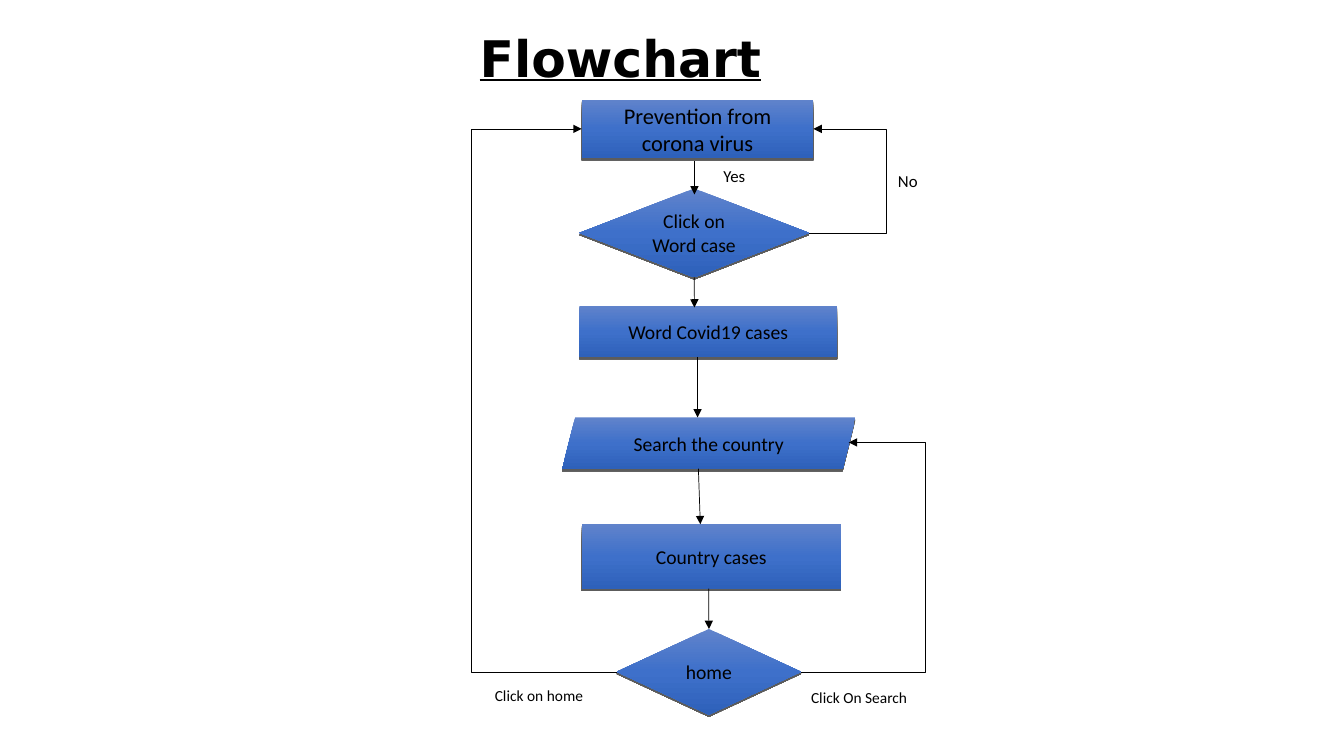
from copy import deepcopy

from pptx import Presentation
from pptx.dml.color import RGBColor
from pptx.enum.shapes import MSO_CONNECTOR, MSO_SHAPE
from pptx.enum.text import MSO_ANCHOR, PP_ALIGN
from pptx.oxml import parse_xml
from pptx.oxml.ns import nsdecls, qn
from pptx.util import Cm, Pt

COLORS = {
    "ink": "000000",
    "top": "6083CB",
    "middle": "3E70CA",
    "bottom": "2E61BA",
}


def rgb(name):
    return RGBColor.from_string(COLORS[name])


def write(sp, text, size=14, font="Calibri", bold=None, underline=None,
          align=PP_ALIGN.LEFT, anchor=MSO_ANCHOR.TOP):
    tf = sp.text_frame
    tf.word_wrap = True
    tf.vertical_anchor = anchor
    p = tf.paragraphs[0]
    p.alignment = align
    r = p.add_run()
    r.text = text
    r.font.size = Pt(size)
    r.font.name = font
    r.font.bold = bold
    r.font.underline = underline
    r.font.color.rgb = rgb("ink")


def add_label(s, text, x, y, w, h, **fmt):
    sp = s.shapes.add_textbox(Cm(x), Cm(y), Cm(w), Cm(h))
    write(sp, text, **fmt)


def add_step(s, kind, text, x, y, w, h, size=14):
    sp = s.shapes.add_shape(kind, Cm(x), Cm(y), Cm(w), Cm(h))
    sp.line.fill.background()

    # Vertical gradient with three stops
    sp.fill.gradient()
    sp.fill.gradient_angle = 270
    stop_list = sp._element.spPr.find(qn("a:gradFill")).find(qn("a:gsLst"))
    stop_list.append(deepcopy(stop_list[-1]))
    names = ("top", "middle", "bottom")
    for i, (stop, name) in enumerate(zip(sp.fill.gradient_stops, names)):
        stop.position = i / 2
        stop.color.rgb = rgb(name)

    # Thin dark edge below the shape
    sp.shadow.inherit = False
    sp._element.spPr.find(qn("a:effectLst")).append(parse_xml(
        f'<a:outerShdw {nsdecls("a")} blurRad="0" dist="{Pt(1.5)}" dir="5400000"'
        f' algn="ctr" rotWithShape="0"><a:srgbClr val="{COLORS["ink"]}">'
        '<a:alpha val="63000"/></a:srgbClr></a:outerShdw>'))

    write(sp, text, size=size, align=PP_ALIGN.CENTER, anchor=MSO_ANCHOR.MIDDLE)
    return sp


def add_arrow(s, x1, y1, x2, y2, via_x=None):
    """Straight arrow, or an elbow whose upright runs at via_x."""
    kind = MSO_CONNECTOR.STRAIGHT if via_x is None else MSO_CONNECTOR.ELBOW
    cx = s.shapes.add_connector(kind, Cm(x1), Cm(y1), Cm(x2), Cm(y2))
    cx.line.color.rgb = rgb("ink")
    cx.line.width = Pt(0.5)
    spPr = cx._element.spPr
    cx.line._get_or_add_ln().append(
        parse_xml(f'<a:tailEnd {nsdecls("a")} type="triangle"/>'))
    spPr.append(parse_xml(f'<a:effectLst {nsdecls("a")}/>'))
    if via_x is not None:
        bend = round((via_x - x1) / (x2 - x1) * 100000)
        guides = spPr.find(qn("a:prstGeom")).get_or_add_avLst()
        guides.append(parse_xml(
            f'<a:gd {nsdecls("a")} name="adj1" fmla="val {bend}"/>'))
    return cx


def main():
    prs = Presentation()
    prs.slide_width, prs.slide_height = Cm(33.87), Cm(19.05)
    s = prs.slides.add_slide(prs.slide_layouts[6])

    # Title
    add_label(s, "Flowchart", 11.84, 0.56, 10.41, 1.8,
              size=36, font="DejaVu Sans", bold=True, underline=True)

    # Steps
    process, decision = MSO_SHAPE.FLOWCHART_PROCESS, MSO_SHAPE.DIAMOND
    add_step(s, process, "Prevention from corona virus",
             14.66, 2.51, 5.84, 1.47, size=16)
    word_case = add_step(s, decision, "Click on Word case", 14.6, 4.75, 5.79, 2.24)
    add_step(s, process, "Word Covid19 cases", 14.6, 7.7, 6.5, 1.3)
    add_step(s, MSO_SHAPE.PARALLELOGRAM, "Search the country",
             14.17, 10.52, 7.39, 1.3)
    add_step(s, process, "Country cases", 14.66, 13.21, 6.53, 1.63)
    home = add_step(s, decision, "home", 15.54, 15.85, 4.65, 2.16)

    # Branch labels
    add_label(s, "Click on home", 12.22, 17.17, 2.92, 0.91, size=11)
    add_label(s, "Click On Search", 20.19, 17.22, 3.56, 0.91, size=11)
    add_label(s, "No", 22.38, 4.19, 1.42, 1.42, size=12)
    add_label(s, "Yes", 17.98, 4.06, 1.47, 0.99, size=12)

    # Downward flow
    add_arrow(s, 17.5, 4.06, 17.5, 4.9)
    add_arrow(s, 17.5, 6.99, 17.5, 7.75).begin_connect(word_case, 2)
    add_arrow(s, 17.58, 8.99, 17.58, 10.52)
    add_arrow(s, 17.6, 11.81, 17.65, 13.21)
    add_arrow(s, 17.86, 14.83, 17.86, 15.85).end_connect(home, 0)

    # Loops back
    add_arrow(s, 20.4, 5.87, 20.5, 3.25, via_x=22.33)
    add_arrow(s, 20.19, 16.94, 21.39, 11.15, via_x=23.32)
    add_arrow(s, 15.54, 16.94, 14.66, 3.25, via_x=11.89)

    prs.save("out.pptx")


if __name__ == "__main__":
    main()
